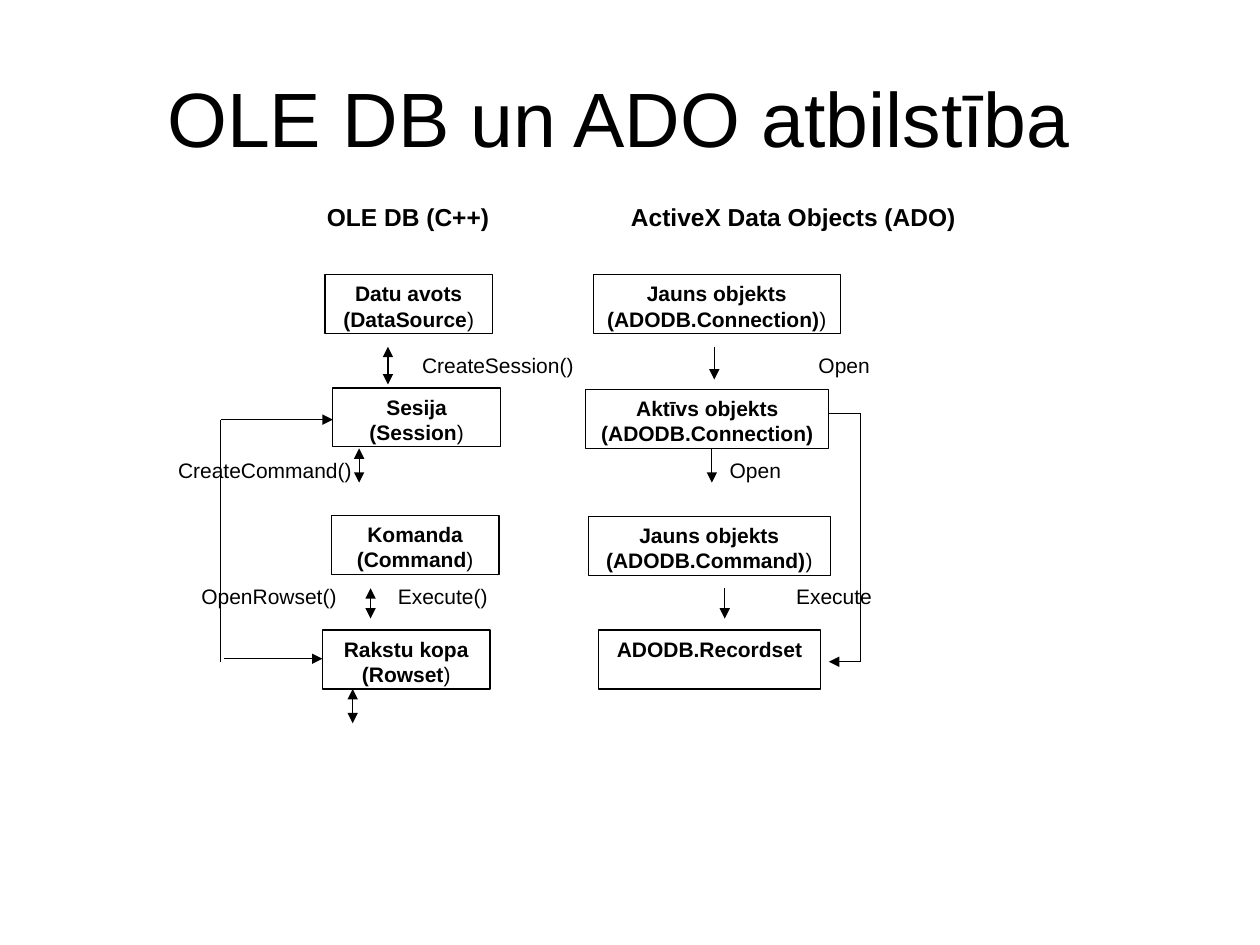
import pptx
import pptx.dml.color
import pptx.enum.shapes
import pptx.enum.text
import pptx.oxml
import pptx.oxml.ns
from pptx.util import Cm

ALIGN = pptx.enum.text.PP_ALIGN
ANCHOR = pptx.enum.text.MSO_ANCHOR


def color(hex_text):
    return pptx.dml.color.RGBColor.from_string(hex_text)


def add_element(parent, tag, **attributes):
    element = pptx.oxml.parse_xml(f"<{tag} {pptx.oxml.ns.nsdecls('a')}/>")
    for name, value in attributes.items():
        element.set(name, value)
    parent.append(element)


class Diagram:
    font_name = "Arial"
    ink = "000000"
    paper = "FFFFFF"
    line_width = pptx.util.Pt(0.75)

    def __init__(self, slide):
        self.slide = slide

    def format_run(self, run, size, bold):
        run.font.name = self.font_name
        run.font.size = pptx.util.Pt(size)
        run.font.bold = bold
        run.font.color.rgb = color(self.ink)

    def text(self, text, left, top, width, height, size=12, bold=False, align=ALIGN.LEFT):
        shape = self.slide.shapes.add_textbox(Cm(left), Cm(top), Cm(width), Cm(height))
        frame = shape.text_frame
        frame.word_wrap = True
        frame.vertical_anchor = ANCHOR.MIDDLE
        frame.text = text
        paragraph = frame.paragraphs[0]
        paragraph.alignment = align
        self.format_run(paragraph.runs[0], size, bold)

    def box(self, text, ending, left, top, width):
        """Draw an object box with bold text and a regular-weight ending."""
        shape = self.slide.shapes.add_shape(
            pptx.enum.shapes.MSO_SHAPE.RECTANGLE, Cm(left), Cm(top), Cm(width), Cm(1.19))
        shape.shadow.inherit = False
        shape.fill.solid()
        shape.fill.fore_color.rgb = color(self.paper)
        shape.line.color.rgb = color(self.ink)
        shape.line.width = self.line_width
        frame = shape.text_frame
        frame.word_wrap = True
        frame.vertical_anchor = ANCHOR.TOP
        frame.text = text
        paragraph = frame.paragraphs[0]
        paragraph.alignment = ALIGN.CENTER
        self.format_run(paragraph.runs[0], 12, True)
        if ending:
            run = paragraph.add_run()
            run.text = ending
            self.format_run(run, 12, False)

    def line(self, start_x, start_y, end_x, end_y, *arrow_ends):
        """Draw a line; arrow_ends may hold "headEnd" (start) and "tailEnd" (end)."""
        connector = self.slide.shapes.add_connector(
            pptx.enum.shapes.MSO_CONNECTOR.STRAIGHT,
            Cm(start_x), Cm(start_y), Cm(end_x), Cm(end_y))
        connector.line.color.rgb = color(self.ink)
        connector.line.width = self.line_width
        for end in arrow_ends:
            add_element(connector.line._get_or_add_ln(), f"a:{end}", type="triangle")
        add_element(connector._element.spPr, "a:effectLst")


BOX_WIDTH = 3.38
BOXES = [
    ("Datu avots (DataSource", ")", 6.55, 5.54, BOX_WIDTH),
    ("Sesija (Session", ")", 6.71, 7.82, BOX_WIDTH),
    ("Komanda (Command", ")", 6.68, 10.39, BOX_WIDTH),
    ("Rakstu kopa (Rowset", ")", 6.5, 12.7, BOX_WIDTH),
    ("Jauns objekts (ADODB.Connection)", ")", 11.96, 5.54, 4.98),
    ("Aktīvs objekts (ADODB.Connection)", "", 11.81, 7.85, 4.9),
    ("Jauns objekts (ADODB.Command)", ")", 11.86, 10.41, 4.88),
    ("ADODB.Recordset", "", 12.07, 12.7, 4.47),
]
# x, top, bottom
OLE_DB_ARROWS = [(7.82, 6.99, 7.75), (7.24, 9.04, 9.73),
                 (7.47, 11.86, 12.47), (7.11, 13.89, 14.58)]
ADO_ARROWS = [(14.4, 6.99, 7.65), (14.35, 9.04, 9.73), (14.61, 11.86, 12.47)]
BYPASS_LINES = [
    (16.69, 8.33, 17.35, 8.33),
    (17.35, 8.33, 17.35, 13.34),
    (17.35, 13.34, 16.71, 13.34, "tailEnd"),
    (6.71, 8.46, 4.45, 8.46, "headEnd"),
    (4.45, 8.46, 4.45, 13.34),
    (4.52, 13.28, 6.5, 13.28, "tailEnd"),
]
HEADINGS = [("OLE DB (C++)", 6.34, 4), ("ActiveX Data Objects (ADO)", 12.47, 8)]
CALLS = [
    ("CreateSession()", 8.26, 6.99),
    ("Open", 16.25, 6.99),
    ("CreateCommand()", 3.34, 9.09),
    ("Open", 14.46, 9.09),
    ("OpenRowset()", 3.81, 11.63),
    ("Execute()", 7.77, 11.63),
    ("Execute", 15.8, 11.63),
]


def main():
    presentation = pptx.Presentation()
    presentation.slide_width = Cm(25.4)
    presentation.slide_height = Cm(19.05)
    diagram = Diagram(presentation.slides.add_slide(presentation.slide_layouts[6]))

    diagram.text("OLE DB un ADO atbilstība ", 1.27, 0.76, 22.86, 3.18,
                 size=44, align=ALIGN.CENTER)
    for box in BOXES:
        diagram.box(*box)
    for x, top, bottom in ADO_ARROWS:
        diagram.line(x, top, x, bottom, "tailEnd")
    for x, top, bottom in OLE_DB_ARROWS:
        diagram.line(x, top, x, bottom, "headEnd", "tailEnd")
    for line in BYPASS_LINES:
        diagram.line(*line)
    for text, left, width in HEADINGS:
        diagram.text(text, left, 3.94, width, 0.86, size=14, bold=True)
    for text, left, top in CALLS:
        diagram.text(text, left, top, 4.2, 0.76)

    presentation.save("out.pptx")


if __name__ == "__main__":
    main()
